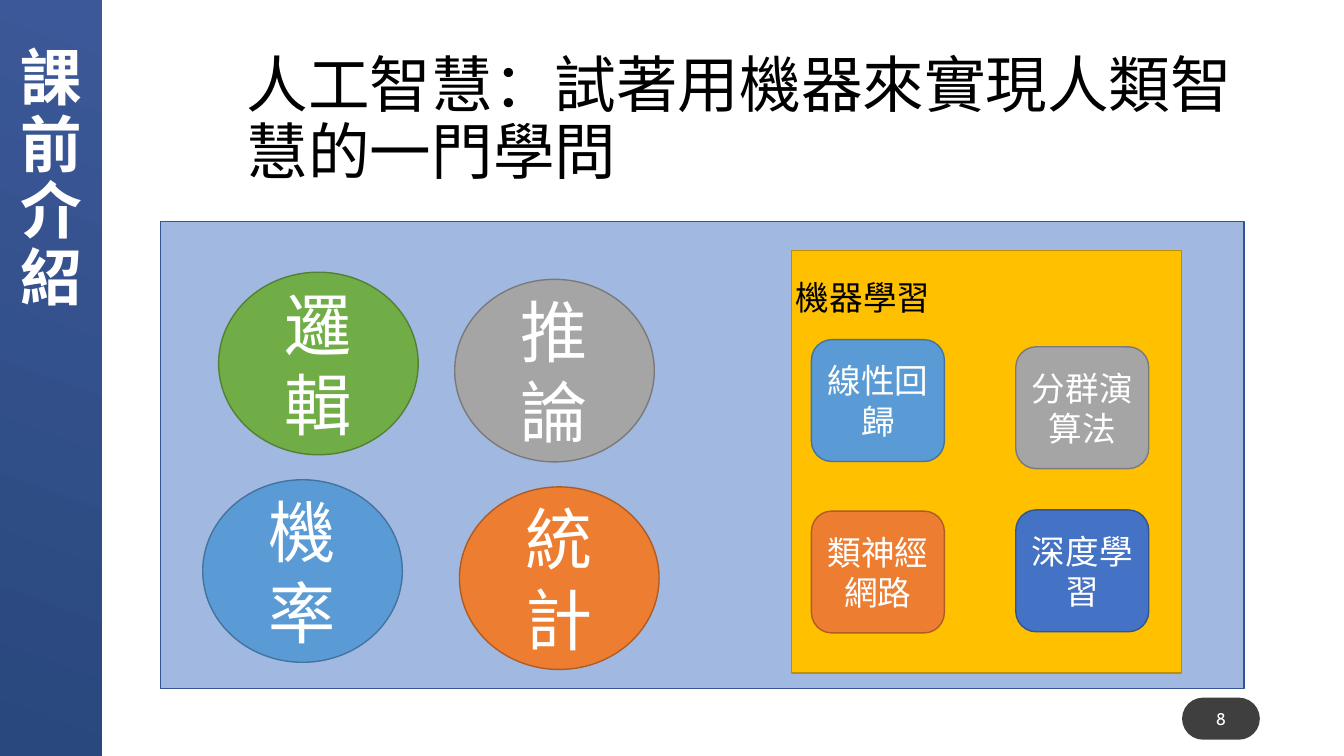
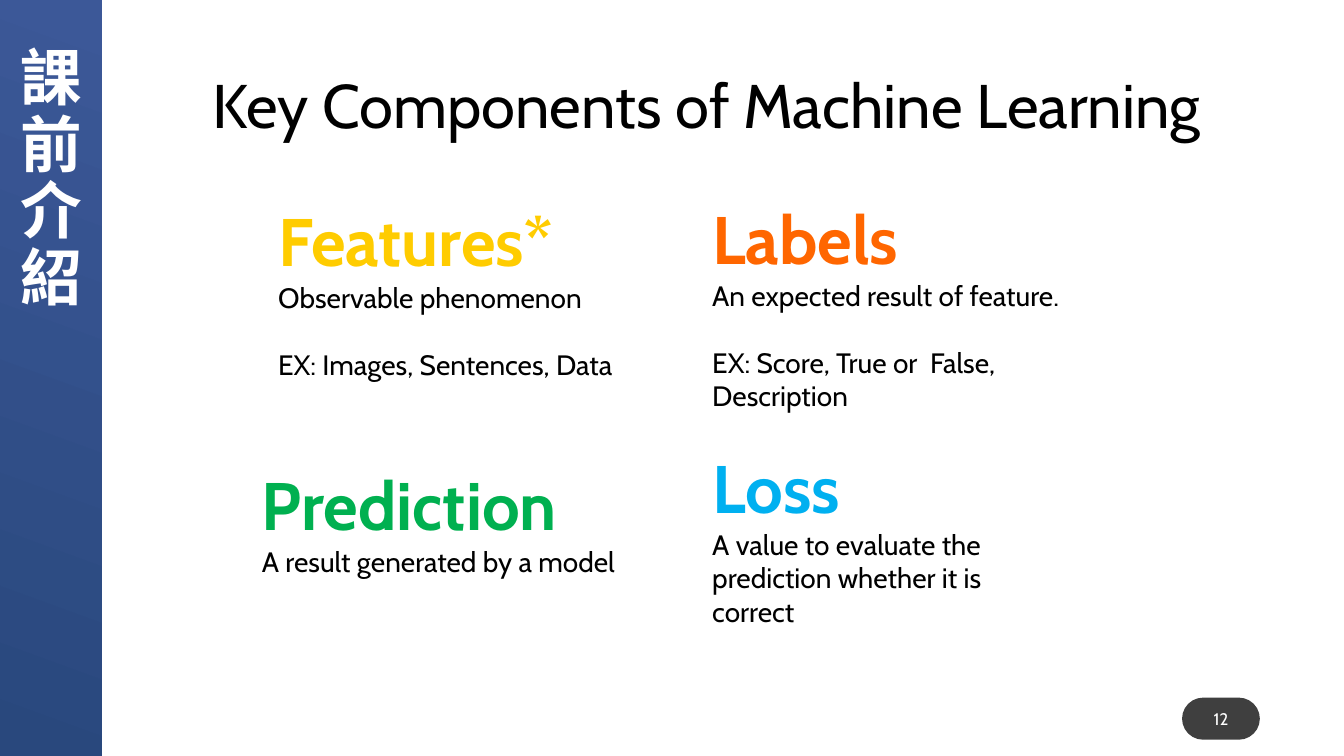
"""Build two course-introduction slides about machine learning."""
from lxml import etree
from pptx import Presentation
from pptx import util as u
from pptx.dml import color as dml
from pptx.enum import shapes, text
from pptx.oxml import ns

CABIN = "Cabin"
NOTO = "Noto Sans CJK SC"
BLACK, WHITE, PILL = "000000", "FFFFFF", "3F3F3F"
BAND = ("3C5898", "29487D")
BLUE = ("4472C4", "325491")
SKY = ("5B9BD5", "43739E")
GRAY = ("A5A5A5", "7A7A7A")
GREEN = ("70AD47", "538035")
ORANGE = ("ED7D31", "AF5C24")
GOLD = ("FFC000", "BD8E00")
SHAPE = shapes.MSO_SHAPE
ANCHOR = text.MSO_ANCHOR
ALIGN = text.PP_ALIGN

CIRCLES = [
    ("統計", 11.58, 12.27, ORANGE),
    ("推論", 11.46, 7.04, GRAY),
    ("機率", 5.11, 12.09, SKY),
    ("邏輯", 5.51, 6.86, GREEN),
]
METHODS = [
    ("線性回歸", 20.45, 8.56, SKY),
    ("分群演算法", 25.6, 8.74, GRAY),
    ("深度學習", 25.6, 12.85, BLUE),
    ("類神經網路", 20.45, 12.88, ORANGE),
]
COMPONENTS = [
    ("Features*", "FFCC00", (6.76, 4.9, 12.17, 6.4),
     "Observable phenomenon", "EX: Images, Sentences, Data"),
    ("Prediction", "00B050", (6.35, 11.56, 10.77, 3.94),
     "A result generated by a model", None),
    ("Labels", "FF6600", (17.7, 4.85, 10.08, 6.5),
     "An expected result of feature.", "EX: Score, True or  False, Description"),
    ("Loss", "00B0F0", (17.7, 11.13, 9.5, 4.78),
     "A value to evaluate the prediction whether it is correct", None),
]


def rgb(code):
    """Turn a hex string into a colour."""
    return dml.RGBColor.from_string(code)


def lengths(area):
    """Turn left, top, width and height in centimetres into lengths."""
    return [u.Cm(value) for value in area]


def style(para, size, color, face=CABIN, bold=False, align=ALIGN.LEFT, spacing=None):
    """Format a paragraph and its runs."""
    para.alignment = align
    if spacing:
        para.line_spacing = spacing
    for span in para.runs:
        span.font.name = face
        span.font.size = u.Pt(size)
        span.font.bold = bold
        span.font.color.rgb = rgb(color)
        east = etree.SubElement(span.font._element, ns.qn("a:ea"))
        east.set("typeface", CABIN)


def add_shape(page, kind, area, fill=None, line=None):
    """Add a flat preset shape with an optional fill and outline."""
    shape = page.shapes.add_shape(kind, *lengths(area))
    shape.shadow.inherit = False
    if fill:
        shape.fill.solid()
        shape.fill.fore_color.rgb = rgb(fill)
    if line:
        shape.line.color.rgb = rgb(line)
        shape.line.width = u.Pt(1)
    else:
        shape.line.fill.background()
    return shape


def add_label_shape(page, kind, area, colors, label, size):
    """Add an outlined shape with a centred white label."""
    shape = add_shape(page, kind, area, *colors)
    frame = shape.text_frame
    frame.text = label
    frame.word_wrap = True
    frame.vertical_anchor = ANCHOR.MIDDLE
    style(frame.paragraphs[0], size, WHITE, NOTO, align=ALIGN.CENTER)


def add_text(page, area, words, size, color, anchor=ANCHOR.TOP, **looks):
    """Add a wrapping text box with one styled paragraph."""
    box = page.shapes.add_textbox(*lengths(area))
    frame = box.text_frame
    frame.word_wrap = True
    frame.vertical_anchor = anchor
    frame.text = words
    style(frame.paragraphs[0], size, color, **looks)
    return frame


def add_page(deck, number):
    """Add a page with the side band, its title and the page number."""
    page = deck.slides.add_slide(deck.slide_layouts[6])
    band = add_shape(page, SHAPE.RECTANGLE, (0, 0, 2.57, 19.05))
    band.fill.gradient()
    band.fill.gradient_angle = 250
    for position, (stop, code) in enumerate(zip(band.fill.gradient_stops, BAND)):
        stop.position = position
        stop.color.rgb = rgb(code)
    add_text(page, (0, 0.81, 2.57, 7.49), "課前介紹", 44, WHITE, ANCHOR.MIDDLE,
             bold=True, align=ALIGN.CENTER, spacing=0.9)
    pill = add_shape(page, SHAPE.ROUNDED_RECTANGLE, (29.79, 17.58, 1.96, 1.06), PILL)
    pill.adjustments[0] = 0.5
    frame = pill.text_frame
    frame.margin_left = frame.margin_right = 0
    frame.vertical_anchor = ANCHOR.MIDDLE
    frame.text = str(number)
    style(frame.paragraphs[0], 12, WHITE, align=ALIGN.CENTER)
    return page


def add_component(page, heading, color, area, meaning, example):
    """Add a coloured heading with its meaning and an optional example."""
    frame = add_text(page, area, heading, 48, color, bold=True)
    for words, gap in ((meaning, 0), (example, 24)):
        if words:
            para = frame.add_paragraph()
            para.text = words
            para.space_before = u.Pt(gap)
            style(para, 20, BLACK)


def build_intelligence(deck):
    """Build the page on artificial intelligence and its fields."""
    page = add_page(deck, 8)
    title = add_text(page, (5.97, 3.2, 26.62, 1.78), "人工智慧：試著用機器來實現人類智慧的一門學問",
                     44, BLACK, ANCHOR.BOTTOM, spacing=0.9)
    title.margin_top = title.margin_bottom = u.Cm(0.25)
    panel = add_shape(page, SHAPE.RECTANGLE, (4.04, 5.59, 27.31, 11.76), *BLUE)
    tint = panel._element.spPr.find(ns.qn("a:solidFill"))[0]
    etree.SubElement(tint, ns.qn("a:alpha")).set("val", "50000")
    for label, left, top, colors in CIRCLES:
        add_label_shape(page, SHAPE.OVAL, (left, top, 5.03, 4.6), colors, label, 48)
    add_shape(page, SHAPE.RECTANGLE, (19.94, 6.32, 9.83, 10.64), *GOLD)
    add_text(page, (19.81, 6.86, 4.55, 1.27), "機器學習", 24, BLACK, face=NOTO)
    for label, left, top, colors in METHODS:
        add_label_shape(page, SHAPE.ROUNDED_RECTANGLE, (left, top, 3.35, 3.07),
                        colors, label, 24)


def build_components(deck):
    """Build the page on the key components of machine learning."""
    page = add_page(deck, 12)
    for component in COMPONENTS:
        add_component(page, *component)
    add_text(page, (5.11, 1.57, 28.4, 2.13), "Key Components of Machine Learning",
             44, BLACK)


def main():
    """Build and save the deck."""
    deck = Presentation()
    deck.slide_width, deck.slide_height = u.Cm(33.87), u.Cm(19.05)
    build_intelligence(deck)
    build_components(deck)
    deck.save("out.pptx")


if __name__ == "__main__":
    main()
